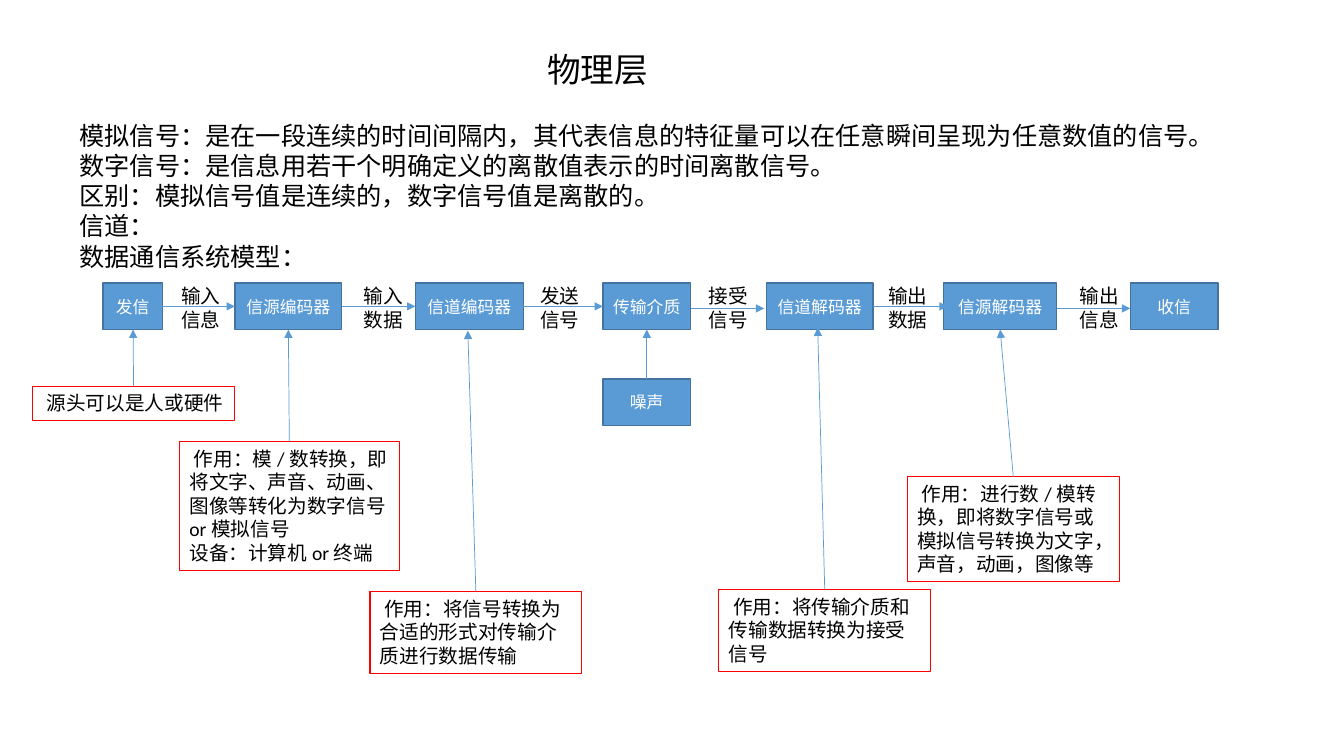
from lxml import etree
from pptx import Presentation
from pptx.dml.color import RGBColor
from pptx.enum.shapes import MSO_CONNECTOR, MSO_SHAPE
from pptx.enum.text import MSO_ANCHOR, MSO_AUTO_SIZE, PP_ALIGN
from pptx.oxml.ns import qn
from pptx.util import Inches, Pt

LINE = MSO_CONNECTOR.STRAIGHT
RECT = MSO_SHAPE.RECTANGLE
MIDDLE = MSO_ANCHOR.MIDDLE
GROW = MSO_AUTO_SIZE.SHAPE_TO_FIT_TEXT
CENTER = PP_ALIGN.CENTER

FONT = "Calibri"
BLUE, EDGE, RED = "5B9BD5", "43739E", "FF0000"
BLACK, WHITE = "000000", "FFFFFF"

INTRO = """模拟信号：是在一段连续的时间间隔内，其代表信息的特征量可以在任意瞬间呈现为任意数值的信号。
数字信号：是信息用若干个明确定义的离散值表示的时间离散信号。
区别：模拟信号值是连续的，数字信号值是离散的。
信道：
数据通信系统模型："""

STAGES = [
    ("发信", 0, 0.59),
    ("信源编码器", 1.31, 1.06),
    ("信道编码器", 3.1, 1.07),
    ("传输介质", 4.96, 0.87),
    ("信道解码器", 6.58, 1.06),
    ("信源解码器", 8.34, 1.12),
    ("收信", 10.19, 0.87),
]
FLOWS = [
    ("输入\n信息", 0.68, 0, 0),
    ("输入\n数据", 2.49, 0, 0),
    ("发送\n信号", 4.24, 0, 0),
    ("接受\n信号", 5.91, 0.02, -0.02),
    ("输出\n数据", 7.69, 0, 0.04),
    ("输出\n信息", 9.59, 0.02, 0),
]
NOTES = [
    (" 源头可以是人或硬件", (0.32, 3.83, 2.01, 0.34), (1.32, 3.27), False),
    (" 作用：模/数转换，即将文字、声音、动画、图像等转化为数字信号or模拟信号\n设备：计算机or终端",
     (1.78, 4.38, 2.18, 1.28), (2.86, 3.27), True),
    (" 作用：将信号转换为合适的形式对传输介质进行数据传输",
     (3.67, 5.87, 2.1, 0.81), (4.64, 3.28), True),
    (" 作用：将传输介质和传输数据转换为接受信号",
     (7.13, 5.85, 2.1, 0.81), (8.11, 3.25), True),
    (" 作用：进行数/模转换，即将数字信号或模拟信号转换为文字，声音，动画，图像等",
     (9, 4.73, 2.1, 1.04), (9.92, 3.27), True),
]


def color(code):
    return RGBColor.from_string(code)


def write(frame, text, size, code, align=None):
    frame.text = text
    for para in frame.paragraphs:
        para.alignment = align
        for run in para.runs:
            run.font.name = FONT
            run.font.size = Pt(size)
            run.font.color.rgb = color(code)


def label(slide, box, text, size, wrap=True):
    shape = slide.shapes.add_textbox(*map(Inches, box))
    frame = shape.text_frame
    frame.word_wrap = wrap
    frame.auto_size = GROW
    write(frame, text, size, BLACK)
    return shape


def block(slide, box, text):
    shape = slide.shapes.add_shape(RECT, *map(Inches, box))
    shape.shadow.inherit = False
    shape.fill.solid()
    shape.fill.fore_color.rgb = color(BLUE)
    shape.line.color.rgb = color(EDGE)
    shape.line.width = Pt(1)
    shape.text_frame.vertical_anchor = MIDDLE
    write(shape.text_frame, text, 12, WHITE, CENTER)


def arrow(slide, start, end):
    link = slide.shapes.add_connector(LINE, *map(Inches, start + end))
    link.line.color.rgb = color(BLUE)
    link.line.width = Pt(0.5)
    props = link._element.spPr
    etree.SubElement(props.find(qn("a:ln")), qn("a:tailEnd"), type="triangle")
    etree.SubElement(props, qn("a:effectLst"))


def chain(slide, left, top, high):
    for text, dx, wide in STAGES:
        block(slide, (left + dx, top, wide, high), text)
    for (text, dx, drop, reach), here, after in zip(FLOWS, STAGES, STAGES[1:]):
        y = top + high / 2 + drop
        arrow(slide, (left + here[1] + here[2], y), (left + after[1] + reach, y))
        label(slide, (left + dx, top - 0.04, 0.59, 0.57), text, 14, False)


def noise(slide, left, top, wide, high, goal):
    block(slide, (left, top, wide, high), "噪声")
    mid = left + wide / 2
    arrow(slide, (mid, top), (mid, goal))


def note(slide, box, text, goal, wrap):
    shape = label(slide, box, text, 14, wrap)
    shape.line.color.rgb = color(RED)
    shape.line.width = Pt(0.75)
    left, top, wide, _ = box
    arrow(slide, (left + wide / 2, top), goal)


def main():
    deck = Presentation()
    deck.slide_width = Inches(13.33)
    deck.slide_height = Inches(7.5)
    slide = deck.slides.add_slide(deck.slide_layouts[6])
    label(slide, (5.33, 0.44, 3.02, 0.5), "物理层", 24)
    label(slide, (0.69, 1.14, 11.9, 1.62), INTRO, 18)
    chain(slide, 1.02, 2.81, 0.46)
    noise(slide, 5.98, 3.76, 0.87, 0.46, 3.27)
    for text, box, goal, wrap in NOTES:
        note(slide, box, text, goal, wrap)
    deck.save("out.pptx")


if __name__ == "__main__":
    main()
